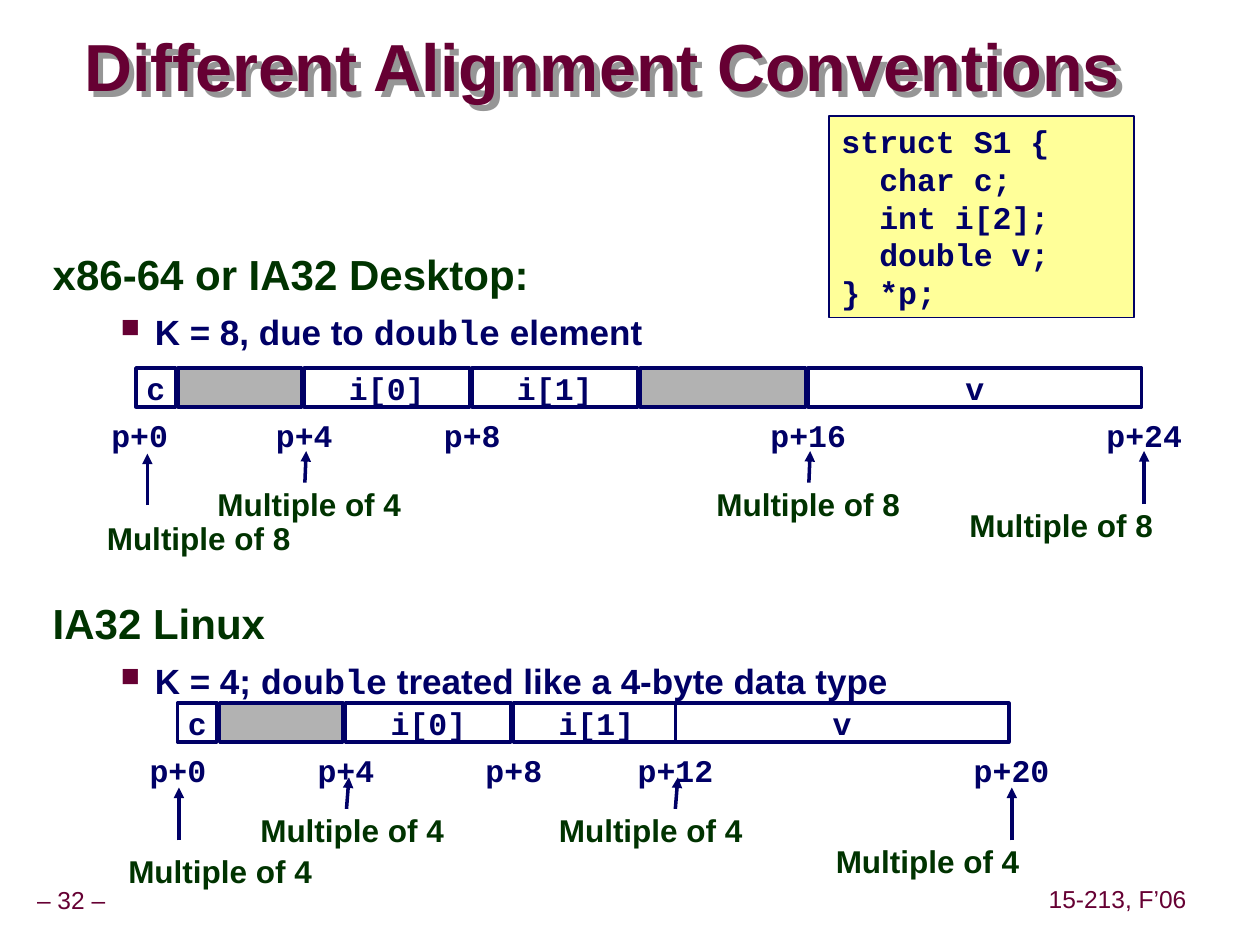
from typing import NamedTuple

from lxml import etree
from pptx import Presentation
from pptx import util as u
from pptx.dml.color import RGBColor
from pptx.enum import shapes, text
from pptx.oxml import ns

NAVY, GREEN, WINE = "000066", "003300", "660033"
WHITE, GRAY, YELLOW = "FFFFFF", "B2B2B2", "FFFF99"
SANS, MONO = "Arial", "Courier New"
LEFT, MID, RIGHT = text.PP_ALIGN.LEFT, text.PP_ALIGN.CENTER, text.PP_ALIGN.RIGHT
TOP, HALF = text.MSO_ANCHOR.TOP, text.MSO_ANCHOR.MIDDLE
BYTE = 1 / 3


class Box(NamedTuple):
    x: float
    y: float
    w: float
    h: float


class Font(NamedTuple):
    size: float
    name: str
    hue: str
    bold: bool = True


class Cell(NamedTuple):
    start: float
    size: int
    label: str = ""


class Mark(NamedTuple):
    start: float
    label: str


class Note(NamedTuple):
    label: str
    box: Box
    align: text.PP_ALIGN


class Arrow(NamedTuple):
    x: float
    y: float
    tip_x: float
    tip_y: float


class Layout(NamedTuple):
    x: float
    y: float
    cells: list[Cell]
    marks: list[Mark]
    notes: list[Note]
    arrows: list[Arrow]


CODE = Font(18, MONO, NAVY)
HEAD = Font(24, SANS, GREEN)
ITEM = Font(20, SANS, NAVY)
TERM = Font(20, MONO, NAVY)
HINT = Font(18, SANS, GREEN)
FOOT = Font(14, SANS, WINE, False)
START = [Cell(0, 1, "c"), Cell(1, 3), Cell(4, 4, "i[0]"), Cell(8, 4, "i[1]")]
NEXT = [Mark(4, "p+4"), Mark(8, "p+8")]

LAYOUTS = [
    Layout(
        1.08, 2.92,
        START + [Cell(12, 4), Cell(16, 8, "v")],
        [Mark(0.08, "p+0")] + NEXT + [Mark(16, "p+16"), Mark(24, "p+24")],
        [
            Note("Multiple of 4", Box(1.33, 3.83, 2.25, 0.42), MID),
            Note("Multiple of 8", Box(5, 3.83, 2.83, 0.42), MID),
            Note("Multiple of 8", Box(0.75, 4.1, 2.83, 0.42), LEFT),
            Note("Multiple of 8", Box(6.42, 4, 2.83, 0.42), RIGHT),
        ],
        [
            Arrow(2.42, 3.83, 2.43, 3.58),
            Arrow(6.42, 3.83, 6.43, 3.58),
            Arrow(1.17, 4.01, 1.17, 3.6),
            Arrow(9.08, 4, 9.08, 3.58),
        ],
    ),
    Layout(
        1.41, 5.58,
        START + [Cell(11.85, 8, "v")],
        [Mark(0, "p+0")] + NEXT + [Mark(11.85, "p+12"), Mark(19.85, "p+20")],
        [
            Note("Multiple of 4", Box(1.67, 6.42, 2.25, 0.42), MID),
            Note("Multiple of 4", Box(3.75, 6.42, 2.83, 0.42), MID),
            Note("Multiple of 4", Box(0.92, 6.75, 2.83, 0.42), LEFT),
            Note("Multiple of 4", Box(5.36, 6.67, 2.83, 0.42), RIGHT),
        ],
        [
            Arrow(2.75, 6.42, 2.77, 6.17),
            Arrow(5.36, 6.42, 5.38, 6.17),
            Arrow(1.42, 6.67, 1.42, 6.25),
            Arrow(8.03, 6.67, 8.03, 6.25),
        ],
    ),
]


def color(hue: str) -> RGBColor:
    return RGBColor.from_string(hue)


def place(box: Box) -> list[u.Length]:
    return [u.Inches(side) for side in box]


def add_run(para, words: str, font: Font) -> None:
    run = para.add_run()
    run.text = words
    run.font.size = u.Pt(font.size)
    run.font.name = font.name
    run.font.bold = font.bold
    run.font.color.rgb = color(font.hue)


def set_frame(shape, wrap: bool, anchor=TOP, pad: tuple = (0.1, 0.05)):
    frame = shape.text_frame
    frame.word_wrap = wrap
    frame.vertical_anchor = anchor
    frame.margin_left = frame.margin_right = u.Inches(pad[0])
    frame.margin_top = frame.margin_bottom = u.Inches(pad[1])
    return frame


def add_text(slide, box: Box, words: str, font: Font, align=LEFT, wrap=False,
             anchor=TOP, pad: tuple = (0.1, 0.05), space: float = 1.0):
    shape = slide.shapes.add_textbox(*place(box))
    para = set_frame(shape, wrap, anchor, pad).paragraphs[0]
    para.alignment = align
    para.line_spacing = space
    add_run(para, words, font)
    return shape


def add_rect(slide, box: Box, fill: str, width: float):
    shape = slide.shapes.add_shape(shapes.MSO_SHAPE.RECTANGLE, *place(box))
    shape.shadow.inherit = False
    shape.fill.solid()
    shape.fill.fore_color.rgb = color(fill)
    shape.line.color.rgb = color(NAVY)
    shape.line.width = u.Pt(width)
    return shape


def add_arrow(slide, arrow: Arrow) -> None:
    line = slide.shapes.add_connector(
        shapes.MSO_CONNECTOR.STRAIGHT, *[u.Inches(n) for n in arrow])
    line.line.color.rgb = color(NAVY)
    line.line.width = u.Pt(2)
    etree.SubElement(line.line._get_or_add_ln(), ns.qn("a:tailEnd"), type="triangle")
    etree.SubElement(line._element.spPr, ns.qn("a:effectLst"))


def add_title(slide) -> None:
    shape = add_text(slide, Box(0.67, 0.25, 9, 0.63), "Different Alignment Conventions",
                     Font(38, SANS, WINE), wrap=True, anchor=HALF, pad=(0, 0), space=0.87)
    glow = etree.SubElement(shape._element.spPr, ns.qn("a:effectLst"))
    shade = etree.SubElement(glow, ns.qn("a:outerShdw"),
                             dist=str(u.Inches(0.06)), dir="2700000")
    etree.SubElement(shade, ns.qn("a:srgbClr"), val="969696")


def add_topic(slide, y: float, head: str, parts: list[str]) -> None:
    shape = add_text(slide, Box(0.32, y, 9.09, 0.95), head, HEAD, wrap=True, space=0.95)
    para = shape.text_frame.add_paragraph()
    para.space_before = u.Pt(6.2)
    props = para._p.get_or_add_pPr()
    props.set("marL", str(u.Inches(0.81)))
    props.set("indent", str(u.Inches(-0.27)))
    tint = etree.SubElement(props, ns.qn("a:buClr"))
    etree.SubElement(tint, ns.qn("a:srgbClr"), val=WINE)
    etree.SubElement(props, ns.qn("a:buSzPct"), val="75000")
    etree.SubElement(props, ns.qn("a:buChar"), char="■")
    for words, font in zip(parts, [ITEM, TERM, ITEM]):
        add_run(para, words, font)


def add_code(slide) -> None:
    frame = set_frame(add_rect(slide, Box(6.58, 0.92, 2.42, 1.6), YELLOW, 1), True)
    lines = ["struct S1 {", "  char c;", "  int i[2];", "  double v;", "} *p;"]
    for i, words in enumerate(lines):
        para = frame.add_paragraph() if i else frame.paragraphs[0]
        para.alignment = LEFT
        add_run(para, words, CODE)


def add_layout(slide, row: Layout) -> None:
    for cell in row.cells:
        box = Box(row.x + cell.start * BYTE, row.y, cell.size * BYTE - 0.02, 0.31)
        rect = add_rect(slide, box, WHITE if cell.label else GRAY, 2)
        if cell.label:
            para = set_frame(rect, False, HALF).paragraphs[0]
            para.alignment = MID
            add_run(para, cell.label, CODE)
    for mark in row.marks:
        width = 0.2 + 0.15 * len(mark.label)
        box = Box(row.x + mark.start * BYTE - width / 2, row.y + 0.33, width, 0.4)
        add_text(slide, box, mark.label, CODE, RIGHT)
    for note in row.notes:
        add_text(slide, note.box, note.label, HINT, note.align, True, space=0.9)
    for arrow in row.arrows:
        add_arrow(slide, arrow)


def main() -> None:
    deck = Presentation()
    deck.slide_width, deck.slide_height = u.Inches(10), u.Inches(7.5)
    slide = deck.slides.add_slide(deck.slide_layouts[6])
    for box, words in [(Box(0, 7, 1.13, 0.31), "– 32 –"),
                       (Box(8.27, 6.99, 1.2, 0.31), "15-213, F’06")]:
        add_text(slide, box, words, FOOT, MID, anchor=HALF, pad=(0.05, 0.05), space=0.9)
    add_title(slide)
    add_topic(slide, 1.95, "x86-64 or IA32 Desktop:",
              ["K = 8, due to ", "double", " element"])
    add_topic(slide, 4.72, "IA32 Linux",
              ["K = 4; ", "double", " treated like a 4-byte data type"])
    add_code(slide)
    for row in LAYOUTS:
        add_layout(slide, row)
    deck.save("out.pptx")


if __name__ == "__main__":
    main()
